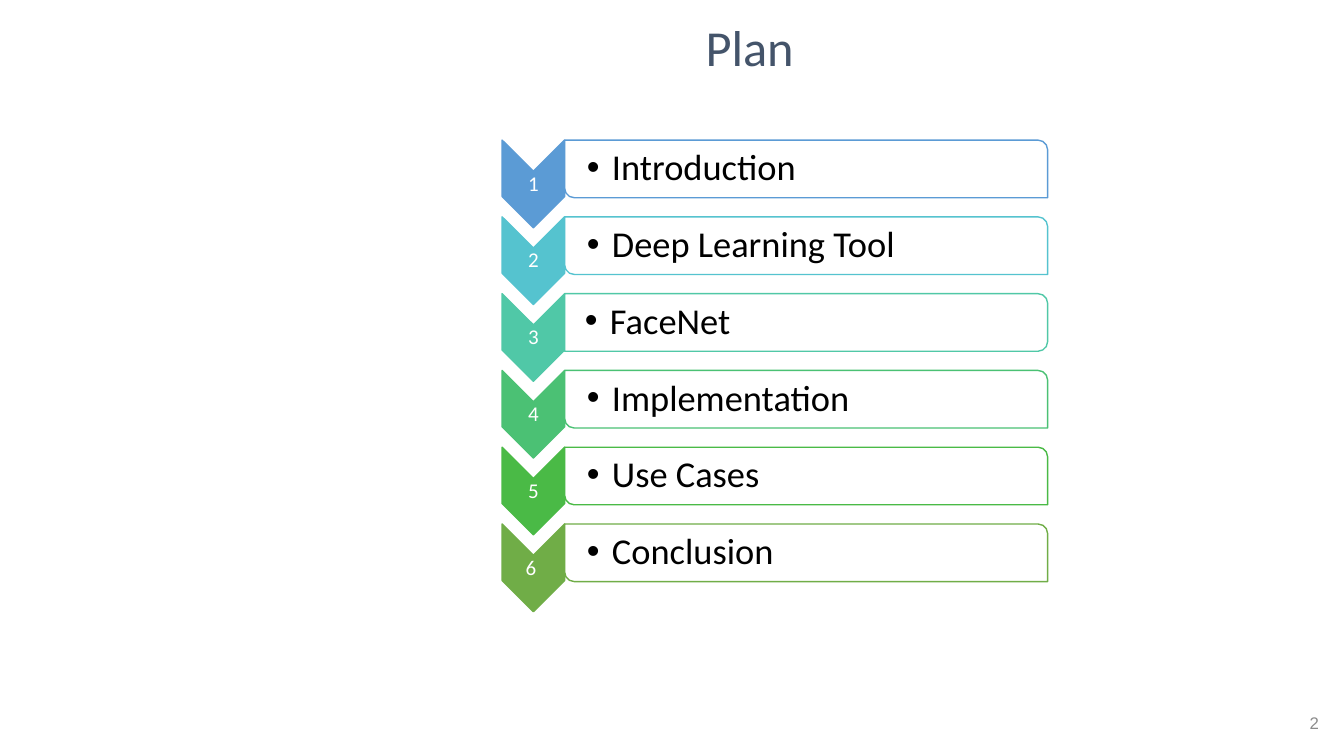
from lxml import etree
from pptx import Presentation
from pptx import util as u
from pptx.dml.color import RGBColor
from pptx.enum import shapes as es, text as et
from pptx.oxml import ns

WIDE, HIGH = 13.33, 7.5
HUES = {
    "Introduction": "5B9BD5",
    "Deep Learning Tool": "55C3CF",
    "FaceNet": "50C8A7",
    "Implementation": "4BC174",
    "Use Cases": "4ABA46",
    "Conclusion": "70AD47",
}
INK = {"title": "44546A", "page": "8C8C8C", "text": "000000", "white": "FFFFFF"}
ALIGN = et.PP_ALIGN
KIND = es.MSO_SHAPE


def color(code):
    return RGBColor.from_string(code)


def node(owner, tag, **attrs):
    return etree.SubElement(owner, ns.qn(tag), attrs)


def write(frame, words, size, ink, align=ALIGN.LEFT, face="Calibri", pad=None, lead=0.9, mark=False):
    frame.word_wrap = True
    frame.vertical_anchor = et.MSO_ANCHOR.MIDDLE
    if pad:
        sides = ("margin_left", "margin_top", "margin_right", "margin_bottom")
        for side, gap in zip(sides, pad):
            setattr(frame, side, u.Inches(gap))
    para = frame.paragraphs[0]
    para.alignment = align
    para.line_spacing = lead
    if mark:
        props = para._p.get_or_add_pPr()
        props.set("marL", str(u.Inches(0.25)))
        props.set("indent", str(u.Inches(-0.25)))
        node(props, "a:buFont", typeface="Arial")
        node(props, "a:buChar", char="•")
    run = para.add_run()
    run.text = words
    run.font.size = u.Pt(size)
    run.font.name = face
    run.font.color.rgb = color(ink)


def label(part, box, *args, **opts):
    write(part.add_textbox(*map(u.Inches, box)).text_frame, *args, **opts)


def turned(part, kind, box, fill, line):
    left, top, wide, high = box
    spot = (left + (wide - high) / 2, top + (high - wide) / 2, high, wide)
    shape = part.add_shape(kind, *map(u.Inches, spot))
    shape.rotation = 90
    shape.shadow.inherit = False
    shape.fill.solid()
    shape.fill.fore_color.rgb = color(fill)
    shape.line.color.rgb = color(line)
    shape.line.width = u.Pt(1)
    return shape


def title(slide, box):
    head = slide.shapes.title
    head.left, head.top, head.width, head.height = map(u.Inches, box)
    write(head.text_frame, "Plan", 36, INK["title"], ALIGN.CENTER)


def row(part, box, num, words, hue):
    left, top, wide, high = box
    arrow = 0.62
    start = left + arrow
    turned(part, KIND.CHEVRON, (left, top, arrow, 0.87), hue, hue)
    label(part, (left, top + 0.31, arrow, 0.26), num, 15, INK["white"],
          ALIGN.CENTER, pad=(0.01,) * 4)
    same = words == "FaceNet"
    kind = KIND.ROUND_2_SAME_RECTANGLE if same else KIND.ROUND_2_DIAG_RECTANGLE
    bar = turned(part, kind, (start, top, wide - arrow, high), INK["white"], hue)
    tint = bar.fill._xPr.find(".//" + ns.qn("a:srgbClr"))
    node(tint, "a:alpha", val="90000")
    shift = 0 if same else 0.02
    label(part, (start + shift, top + 0.03, wide - arrow - 0.03 - shift, high - 0.06),
          words, 26, INK["text"], pad=(0.2, 0.02, 0.02, 0.02), mark=True)


def agenda(slide, box):
    left, top, wide, high = box
    step = high / len(HUES)
    part = slide.shapes.add_group_shape().shapes
    for i, (words, hue) in enumerate(HUES.items()):
        num = "6 " if i == 5 else str(i + 1)
        row(part, (left, top + i * step, wide, step * 0.75), num, words, hue)


def page(slide, box):
    label(slide.shapes, box, "2", 12, INK["page"], ALIGN.RIGHT, "Arial", lead=1.0)


def main():
    deck = Presentation()
    deck.slide_width, deck.slide_height = u.Inches(WIDE), u.Inches(HIGH)
    slide = deck.slides.add_slide(deck.slide_layouts[5])
    page(slide, (WIDE - 0.96, HIGH - 0.53, 0.81, 0.4))
    title(slide, (2.02, -0.23, 10.83, 1.45))
    agenda(slide, (4.98, 1.39, 5.41, 4.57))
    deck.save("out.pptx")


if __name__ == "__main__":
    main()
